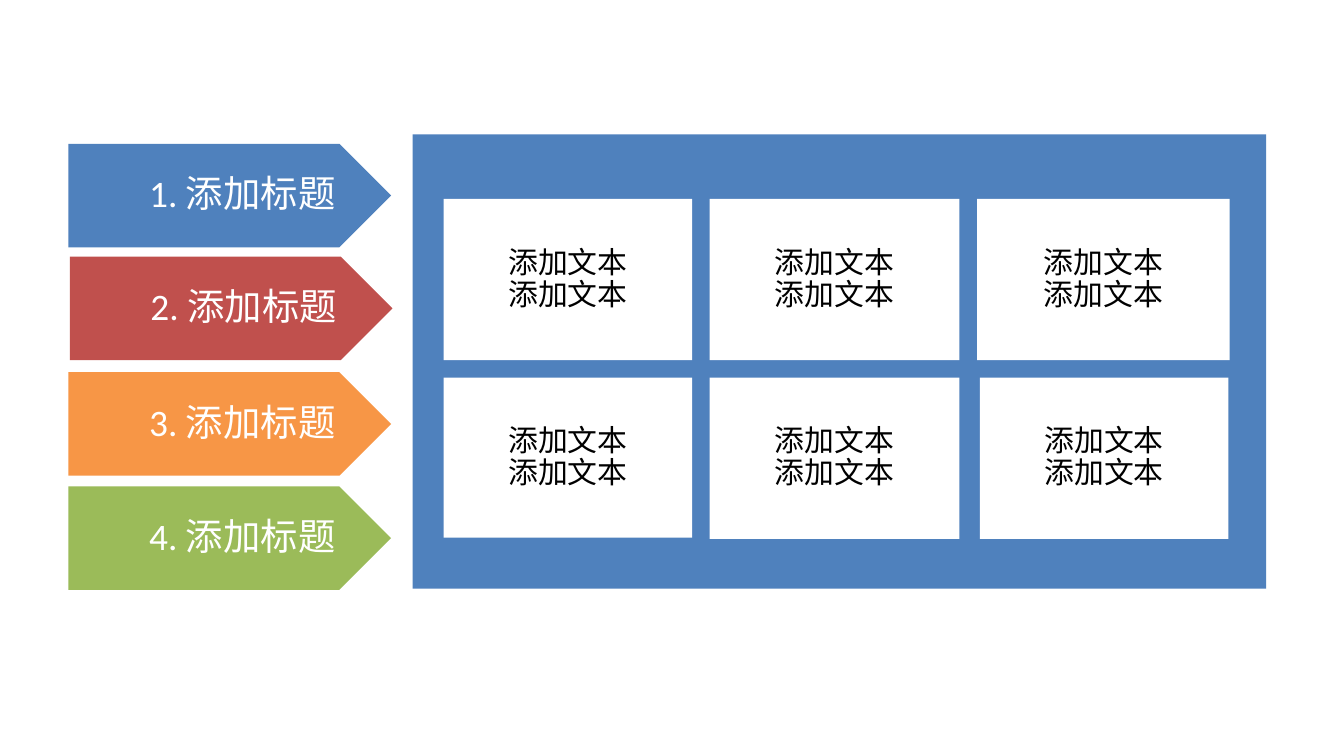
from dataclasses import dataclass

from lxml import etree
from pptx import Presentation
from pptx.dml.color import RGBColor
from pptx.enum import shapes, text
from pptx.oxml import ns
from pptx.util import Inches, Pt

BLUE = RGBColor(0x4F, 0x81, 0xBD)
RED = RGBColor(0xC0, 0x50, 0x4D)
ORANGE = RGBColor(0xF7, 0x96, 0x46)
GREEN = RGBColor(0x9B, 0xBB, 0x59)
WHITE = RGBColor(0xFF, 0xFF, 0xFF)
BLACK = RGBColor(0, 0, 0)
LATIN = "Calibri"
HAN = "Noto Sans CJK SC"
KIND = shapes.MSO_SHAPE


@dataclass
class Box:
    left: float
    top: float
    width: float
    height: float


@dataclass
class Run:
    words: str
    font: str
    size: int
    color: RGBColor


@dataclass
class Step:
    num: int
    left: float
    top: float
    fill: RGBColor


STEPS = [
    Step(3, 0.51, 2.77, ORANGE),
    Step(4, 0.51, 3.62, GREEN),
    Step(1, 0.51, 1.07, BLUE),
    Step(2, 0.52, 1.91, RED),
]
CARDS = [
    Box(7.27, 1.48, 1.88, 1.2),
    Box(5.28, 2.81, 1.86, 1.2),
    Box(3.3, 2.81, 1.85, 1.19),
    Box(3.3, 1.48, 1.85, 1.2),
    Box(7.29, 2.81, 1.85, 1.2),
    Box(5.28, 1.48, 1.86, 1.2),
]


def add_box(host, kind: KIND, box: Box, fill: RGBColor):
    """Draw a flat filled shape without outline."""
    sides = (box.left, box.top, box.width, box.height)
    shape = host.add_shape(kind, *map(Inches, sides))
    shape.shadow.inherit = False
    shape.fill.solid()
    shape.fill.fore_color.rgb = fill
    shape.line.fill.background()
    return shape


def add_text(shape, lines: list[list[Run]], align, pads: tuple) -> None:
    """Fill a shape with paragraphs, run by run."""
    frame = shape.text_frame
    frame.word_wrap = True
    frame.vertical_anchor = text.MSO_ANCHOR.MIDDLE
    (frame.margin_left, frame.margin_top,
     frame.margin_right, frame.margin_bottom) = map(Inches, pads)
    for i, line in enumerate(lines):
        para = frame.add_paragraph() if i else frame.paragraphs[0]
        para.alignment = align
        para.line_spacing = 0.9
        for item in line:
            run = para.add_run()
            run.text = item.words
            run.font.name = item.font
            run.font.size = Pt(item.size)
            run.font.color.rgb = item.color
            if item.font == HAN:
                etree.SubElement(run.font._element, ns.qn("a:ea"), typeface=HAN)


def add_step(host, step: Step) -> None:
    """Draw one numbered arrow of the left column."""
    box = Box(step.left, step.top, 2.4, 0.77)
    line = [
        Run(f"{step.num}. ", LATIN, 20, WHITE),
        Run("添加标题", HAN, 20, WHITE),
    ]
    shape = add_box(host, KIND.PENTAGON, box, step.fill)
    add_text(shape, [line], text.PP_ALIGN.LEFT, (0.6, 0, 0, 0))


def add_card(host, box: Box) -> None:
    """Draw one white card of the panel."""
    lines = [[Run("添加文本", HAN, 16, BLACK)] for _ in range(2)]
    shape = add_box(host, KIND.RECTANGLE, box, WHITE)
    add_text(shape, lines, text.PP_ALIGN.CENTER, (0.2, 0.16, 0.2, 0.16))


def main() -> None:
    deck = Presentation()
    deck.slide_width = Inches(10)
    deck.slide_height = deck.slide_width * 9 // 16
    slide = deck.slides.add_slide(deck.slide_layouts[6])

    # Numbered arrows
    for step in STEPS:
        add_step(slide.shapes, step)

    # Panel with a grid of cards
    panel = slide.shapes.add_group_shape().shapes
    add_box(panel, KIND.RECTANGLE, Box(3.07, 1, 6.35, 3.38), BLUE)
    for card in CARDS:
        add_card(panel, card)

    deck.save("out.pptx")


if __name__ == "__main__":
    main()
